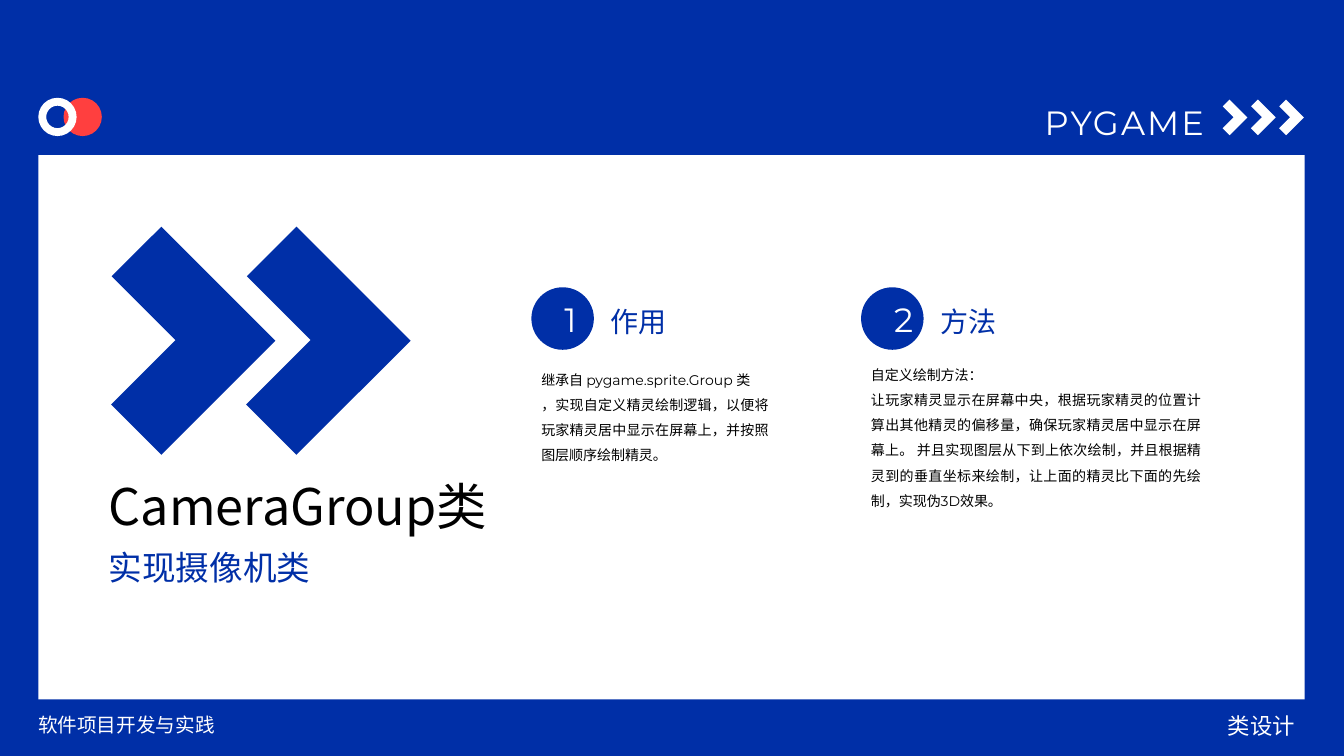
from dataclasses import dataclass

from lxml import etree
from pptx import Presentation
from pptx.dml.color import RGBColor
from pptx.enum.shapes import MSO_SHAPE
from pptx.enum.text import MSO_ANCHOR, MSO_AUTO_SIZE, PP_ALIGN
from pptx.oxml.ns import qn
from pptx.util import Inches, Pt

RECT, OVAL = MSO_SHAPE.RECTANGLE, MSO_SHAPE.OVAL
DONUT, CORNER = MSO_SHAPE.DONUT, MSO_SHAPE.CORNER
LEFT, CENTER = PP_ALIGN.LEFT, PP_ALIGN.CENTER
RIGHT, JUSTIFY = PP_ALIGN.RIGHT, PP_ALIGN.JUSTIFY
TOP, MIDDLE = MSO_ANCHOR.TOP, MSO_ANCHOR.MIDDLE


@dataclass(frozen=True)
class Theme:
    blue: str = "002FA7"
    red: str = "FF3F3F"
    white: str = "FFFFFF"
    black: str = "000000"
    font: str = "Montserrat"
    cjk_font: str = "Noto Sans CJK SC"
    title: int = 36
    subtitle: int = 24
    heading: int = 20
    section: int = 16
    footer: int = 14
    body: int = 10


THEME = Theme()

# Left edge, body top, body width, body height, heading, body paragraphs
TOPICS = [
    (5.27, 3.55, 2.45, 1.08, "作用",
     ["继承自 pygame.sprite.Group 类",
      "，实现自定义精灵绘制逻辑，以便将玩家精灵居中显示在屏幕上，"
      "并按照图层顺序绘制精灵。"]),
    (8.54, 3.5, 3.47, 1.59, "方法",
     ["自定义绘制方法：",
      "让玩家精灵显示在屏幕中央，根据玩家精灵的位置计算出其他精灵的偏移量，"
      "确保玩家精灵居中显示在屏幕上。 并且实现图层从下到上依次绘制，"
      "并且根据精灵到的垂直坐标来绘制，让上面的精灵比下面的先绘制，"
      "实现伪3D效果。"]),
]


def add_figure(slide, kind, x, y, w, h, color, adjustments=()):
    sp = slide.shapes.add_shape(kind, Inches(x), Inches(y), Inches(w), Inches(h))
    sp.shadow.inherit = False
    sp.fill.solid()
    sp.fill.fore_color.rgb = RGBColor.from_string(color)
    sp.line.fill.background()
    for i, value in enumerate(adjustments):
        sp.adjustments[i] = value
    return sp


def add_chevrons(slide, x, y, size, step, count, color, adjustments):
    for i in range(count):
        sp = add_figure(slide, CORNER, x + i * step, y, size, size, color, adjustments)
        sp.rotation = 225


def add_text(slide, x, y, w, h, lines, size, color, font=THEME.font, align=LEFT,
             wrap=True, grow=True, anchor=TOP, line_spacing=None, tracking=0):
    box = slide.shapes.add_textbox(Inches(x), Inches(y), Inches(w), Inches(h))
    tf = box.text_frame
    tf.word_wrap = wrap
    tf.auto_size = MSO_AUTO_SIZE.SHAPE_TO_FIT_TEXT if grow else MSO_AUTO_SIZE.NONE
    tf.vertical_anchor = anchor
    tf.text = "\n".join(lines)
    for p in tf.paragraphs:
        p.alignment = align
        p.line_spacing = line_spacing
        for r in p.runs:
            r.font.size = Pt(size)
            r.font.name = font
            r.font.color.rgb = RGBColor.from_string(color)
            props = r.font._element
            etree.SubElement(props, qn("a:ea")).set("typeface", THEME.cjk_font)
            if tracking:
                props.set("spc", str(int(tracking * 100)))


def add_topic(slide, number, x, body_y, body_w, body_h, heading, body):
    add_text(slide, x + 0.69, 2.97, 0.76, 0.44, [heading], THEME.heading,
             THEME.blue, wrap=False)
    add_figure(slide, OVAL, x, 2.85, 0.62, 0.62, THEME.blue)
    add_text(slide, x + 0.23, 2.92, 0.23, 0.5, [str(number)], THEME.subtitle,
             THEME.white, align=CENTER, tracking=3)
    add_text(slide, x, body_y, body_w, body_h, body, THEME.body, THEME.black,
             align=JUSTIFY, line_spacing=1.5)


def main():
    prs = Presentation()
    prs.slide_width, prs.slide_height = Inches(13.33), Inches(7.5)
    slide = prs.slides.add_slide(prs.slide_layouts[6])

    # Background and panel
    slide.background.fill.solid()
    slide.background.fill.fore_color.rgb = RGBColor.from_string(THEME.blue)
    add_figure(slide, RECT, 0.38, 1.54, 12.56, 5.4, THEME.white)

    # Footer
    add_text(slide, 0.28, 7.09, 5.94, 0.23, ["软件项目开发与实践"], THEME.footer,
             THEME.white, grow=False, anchor=MIDDLE, line_spacing=0.9)
    add_text(slide, 11.94, 7.02, 1.14, 0.37, ["类设计"], THEME.section,
             THEME.white, font=THEME.cjk_font, align=CENTER)

    # Title block
    add_chevrons(slide, 0.8, 2.58, 1.6, 1.34, 2, THEME.blue, (0.435, 0.441))
    add_text(slide, 0.98, 4.66, 4.07, 0.71, ["CameraGroup类"], THEME.title,
             THEME.black, font=THEME.cjk_font, wrap=False)
    add_text(slide, 0.98, 5.38, 2.22, 0.5, ["实现摄像机类"], THEME.subtitle,
             THEME.blue, wrap=False)

    # Numbered topics
    for number, topic in enumerate(TOPICS, 1):
        add_topic(slide, number, *topic)

    # Header
    add_figure(slide, OVAL, 0.63, 0.97, 0.38, 0.38, THEME.red)
    add_figure(slide, DONUT, 0.38, 0.97, 0.38, 0.38, THEME.white, (0.207,))
    add_chevrons(slide, 12.07, 1.04, 0.25, 0.28, 3, THEME.white, (0.377, 0.388))
    add_text(slide, 9.65, 0.96, 2.39, 0.77, ["PYGAME"], THEME.subtitle,
             THEME.white, align=RIGHT, grow=False, tracking=1.5)

    prs.save("out.pptx")


if __name__ == "__main__":
    main()
